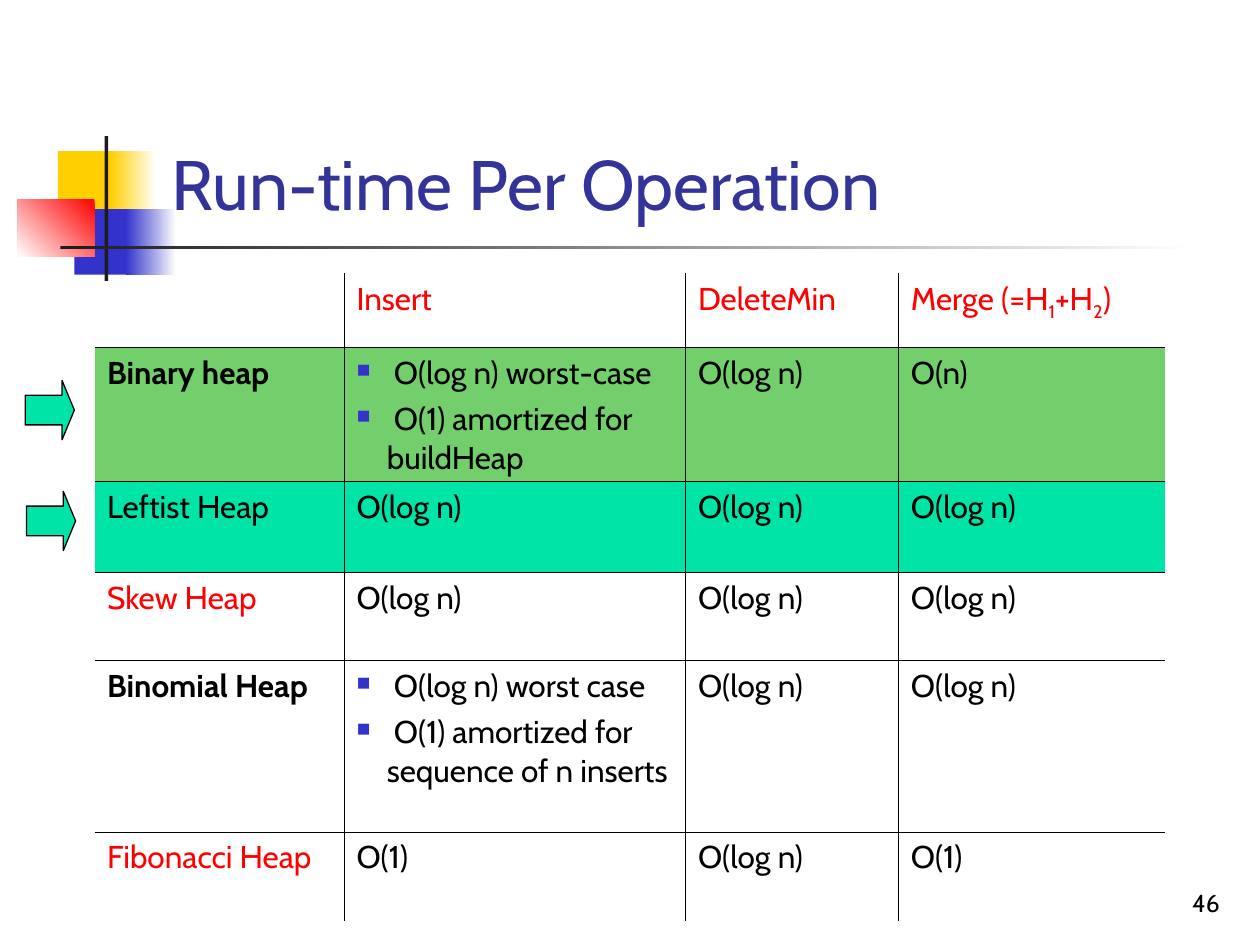
import pptx
import pptx.util
import pptx.dml.color
import pptx.enum.shapes
import pptx.enum.text
import pptx.oxml.ns
from lxml import etree

Inches = pptx.util.Inches
Pt = pptx.util.Pt
RGBColor = pptx.dml.color.RGBColor
SHAPES = pptx.enum.shapes.MSO_SHAPE
ALIGN = pptx.enum.text.PP_ALIGN
qn = pptx.oxml.ns.qn

BLACK = RGBColor(0x00, 0x00, 0x00)
WHITE = RGBColor(0xFF, 0xFF, 0xFF)
CHARCOAL = RGBColor(0x1C, 0x1C, 0x1C)
YELLOW = RGBColor(0xFF, 0xCF, 0x01)
BLUE = RGBColor(0x33, 0x33, 0xCC)
NAVY = RGBColor(0x33, 0x33, 0x99)
RED = RGBColor(0xFF, 0x00, 0x00)
GREEN = RGBColor(0x73, 0xCE, 0x6C)
MINT = RGBColor(0x00, 0xE4, 0xA8)
FONT = "Cabin"

COLUMN_WIDTHS = [1.98, 2.71, 1.69, 2.12]
LOG_N = "O(log n)"
HEADERS = ["", "Insert", "DeleteMin", "Merge (=H_1_+H_2_)"]
HEAPS = [
    ("Binary heap", BLACK, True, GREEN, 1.06,
     [[" O(log n) worst-case", " O(1) amortized for buildHeap"], LOG_N, "O(n)"]),
    ("Leftist Heap", BLACK, False, MINT, 0.72, [LOG_N] * 3),
    ("Skew Heap", RED, False, None, 0.7, [LOG_N] * 3),
    ("Binomial Heap", BLACK, True, WHITE, 1.36,
     [[" O(log n) worst case", " O(1) amortized for sequence of n inserts"], LOG_N, LOG_N]),
    ("Fibonacci Heap", RED, False, None, 0.71, ["O(1)", LOG_N, "O(1)"]),
]


def add_run(paragraph, text, size, color, bold=False):
    run = paragraph.add_run()
    run.text = text
    run.font.name = FONT
    run.font.size = Pt(size)
    run.font.bold = bold
    run.font.color.rgb = color
    return run


def add_line_of_text(slide, box, text, size, color, align):
    frame = slide.shapes.add_textbox(*map(Inches, box)).text_frame
    frame.word_wrap = True
    frame.vertical_anchor = pptx.enum.text.MSO_ANCHOR.BOTTOM
    frame.paragraphs[0].alignment = align
    add_run(frame.paragraphs[0], text, size, color)


def add_block(slide, box, start, end=None, angle=0):
    block = slide.shapes.add_shape(SHAPES.RECTANGLE, *map(Inches, box))
    block.shadow.inherit = False
    block.line.fill.background()
    if end is None:
        block.fill.solid()
        block.fill.fore_color.rgb = start
        return
    block.fill.gradient()
    block.fill.gradient_angle = angle
    for stop, color in zip(block.fill.gradient_stops, (start, end)):
        stop.color.rgb = color


def add_ornament(slide, left, top):
    blocks = [
        ((0.32, 0.12, 0.48, 0.52), YELLOW),
        ((0.74, 0.12, 0.36, 0.52), YELLOW, WHITE),
        ((0.45, 0.58, 0.46, 0.52), BLUE),
        ((0.86, 0.58, 0.4, 0.52), BLUE, WHITE),
        ((0, 0.5, 0.61, 0.46), RED, WHITE, 225),
        ((0.69, 0, 0.03, 1.15), CHARCOAL),
        ((0.34, 0.87, 9, 0.03), CHARCOAL, WHITE),
    ]
    for (x, y, width, height), *colors in blocks:
        add_block(slide, (left + x, top + y, width, height), *colors)


def set_borders(cell, visible_sides):
    properties = cell._tc.get_or_add_tcPr()
    for side in "LRTB":
        border = etree.SubElement(properties, qn("a:ln" + side), w=str(Pt(0.45)))
        if side in visible_sides:
            fill = etree.SubElement(border, qn("a:solidFill"))
            etree.SubElement(fill, qn("a:srgbClr"), val=str(BLACK))
        else:
            etree.SubElement(border, qn("a:noFill"))


def add_bullet(paragraph):
    properties = paragraph._p.get_or_add_pPr()
    properties.set("marL", str(Inches(0.24)))
    properties.set("indent", str(-Inches(0.24)))
    color = etree.SubElement(properties, qn("a:buClr"))
    etree.SubElement(color, qn("a:srgbClr"), val=str(BLUE))
    etree.SubElement(properties, qn("a:buSzPct"), val="60000")
    etree.SubElement(properties, qn("a:buChar"), char="■")


def fill_cell(cell, content, color, bold, background):
    if background is None:
        cell.fill.background()
    else:
        cell.fill.solid()
        cell.fill.fore_color.rgb = background
    frame = cell.text_frame
    bulleted = isinstance(content, list)
    for index, text in enumerate(content if bulleted else [content]):
        paragraph = frame.add_paragraph() if index else frame.paragraphs[0]
        if index:
            paragraph.space_before = Pt(4.5)
        if bulleted:
            add_bullet(paragraph)
        for part, piece in enumerate(text.split("_")):
            if piece:
                run = add_run(paragraph, piece, 18, color, bold)
                if part % 2:
                    run._r.get_or_add_rPr().set("baseline", "-25000")


def add_runtime_table(slide, left, top):
    heights = [0.59] + [heap[4] for heap in HEAPS]
    size = (sum(COLUMN_WIDTHS), sum(heights))
    table = slide.shapes.add_table(
        len(heights), len(COLUMN_WIDTHS), *map(Inches, (left, top, *size))).table
    table.first_row = False
    table.horz_banding = False
    for column, width in zip(table.columns, COLUMN_WIDTHS):
        column.width = Inches(width)
    for row, height in zip(table.rows, heights):
        row.height = Inches(height)

    rows = [[(header, RED, False, None) for header in HEADERS]]
    for name, color, bold, background, _, costs in HEAPS:
        rows.append([(name, color, bold, background)]
                    + [(cost, BLACK, False, background) for cost in costs])
    last_row, last_column = len(heights) - 1, len(COLUMN_WIDTHS) - 1
    for r, row in enumerate(rows):
        for c, content in enumerate(row):
            inner = {"L": c > 0, "R": c < last_column, "T": r > 0, "B": r < last_row}
            cell = table.cell(r, c)
            set_borders(cell, [side for side, shown in inner.items() if shown])
            fill_cell(cell, *content)


def add_row_arrow(slide, box):
    arrow = slide.shapes.add_shape(SHAPES.RIGHT_ARROW, *map(Inches, box))
    arrow.shadow.inherit = False
    arrow.adjustments[0] = 0.5
    arrow.adjustments[1] = 0.25
    arrow.fill.solid()
    arrow.fill.fore_color.rgb = MINT
    arrow.line.color.rgb = BLACK
    arrow.line.width = Pt(0.75)


def main():
    presentation = pptx.Presentation()
    presentation.slide_width = Inches(10)
    presentation.slide_height = Inches(7.5)
    slide = presentation.slides.add_slide(presentation.slide_layouts[6])
    add_ornament(slide, 0.14, 1.08)
    add_line_of_text(slide, (1.26, 0.23, 8.52, 1.6),
                     "Run-time Per Operation", 40, NAVY, ALIGN.LEFT)
    add_runtime_table(slide, 0.75, 2.17)
    for left, top in ((0.2, 3.02), (0.21, 3.9)):
        add_row_arrow(slide, (left, top, 0.39, 0.47))
    add_line_of_text(slide, (7.7, 6.83, 2.08, 0.5), "46", 14, BLACK, ALIGN.RIGHT)
    presentation.save("out.pptx")


if __name__ == "__main__":
    main()
